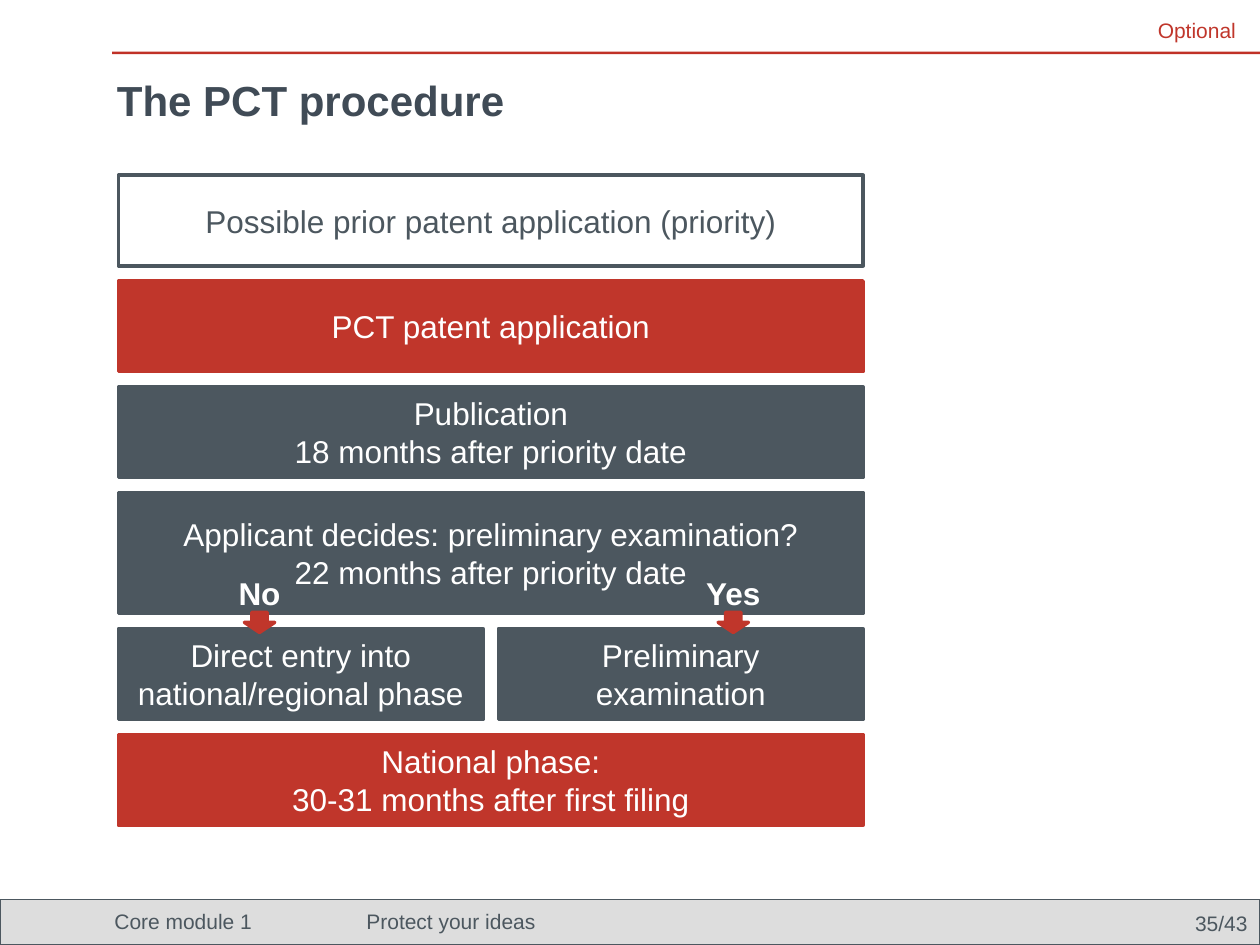
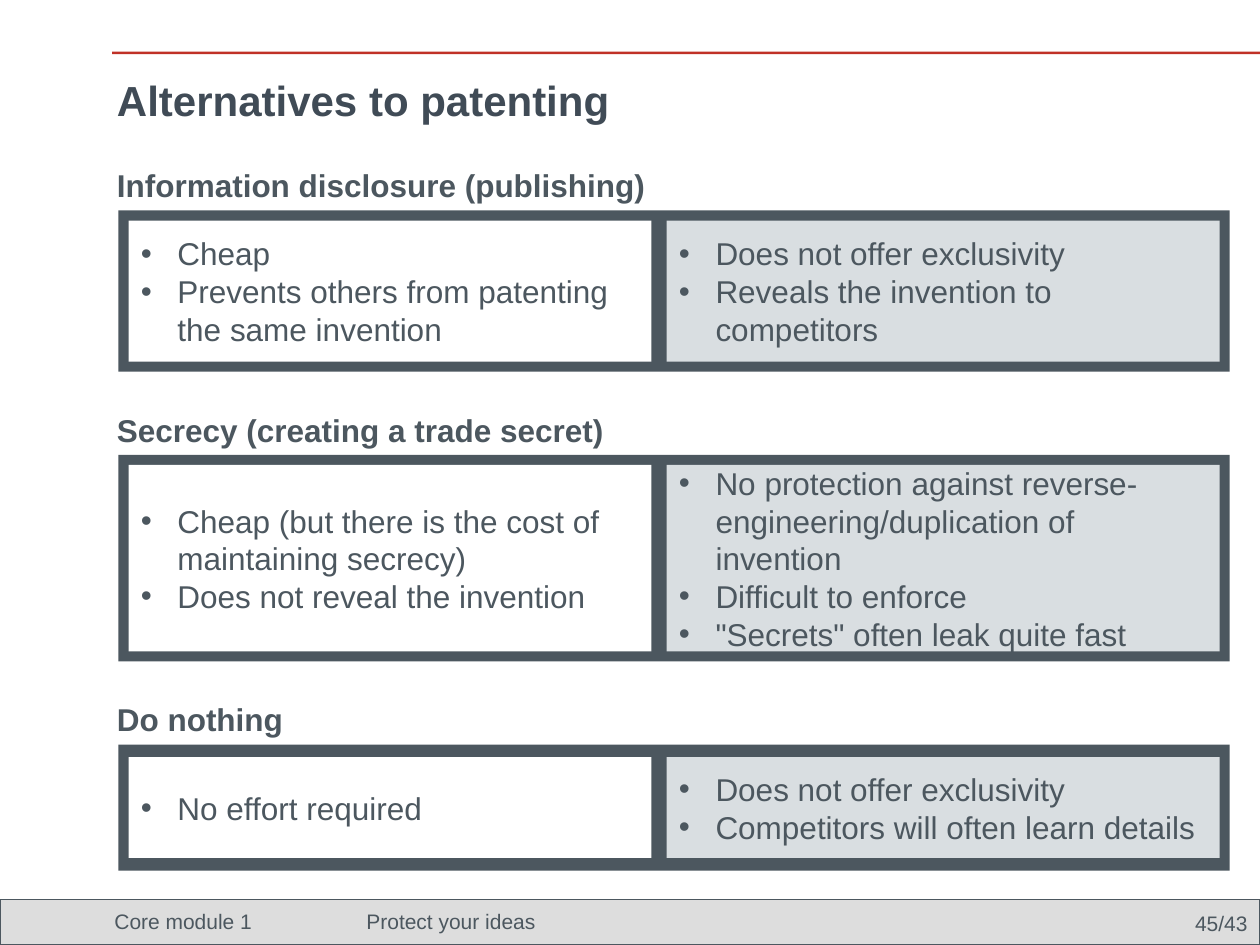
from dataclasses import dataclass

from lxml.etree import SubElement
from pptx import Presentation
from pptx.dml.color import RGBColor
from pptx.enum.shapes import MSO_SHAPE as Shape
from pptx.enum.text import MSO_ANCHOR as Anchor, PP_ALIGN as Align
from pptx.oxml.ns import qn
from pptx.util import Inches, Pt

FONT = "Arial"
SLATE = "4C575F"
TITLE_INK = "404B56"
RED = "C0362B"
RULE_RED = "C03127"
WHITE = "FFFFFF"
PALE = "D9DEE1"
FOOTER_GREY = "DDDDDD"

LEFT = 0.94
BULLET_INDENT = 0.29
TOTAL_PAGES = 43


@dataclass
class Box:
    left: float
    top: float
    width: float
    height: float

    @property
    def inches(self):
        return [Inches(n) for n in (self.left, self.top, self.width, self.height)]


def color(code):
    return RGBColor.from_string(code)


def add_panel(page, box, fill, line=None, line_width=2, kind=Shape.RECTANGLE):
    panel = page.shapes.add_shape(kind, *box.inches)
    panel.shadow.inherit = False
    panel.fill.solid()
    panel.fill.fore_color.rgb = color(fill)
    if line:
        panel.line.color.rgb = color(line)
        panel.line.width = Pt(line_width)
    else:
        panel.line.fill.background()
    return panel


def add_bullet(para):
    props = para._p.get_or_add_pPr()
    props.set("marL", str(Inches(BULLET_INDENT)))
    props.set("indent", str(-Inches(BULLET_INDENT)))
    SubElement(props, qn("a:buFont"), typeface=FONT)
    SubElement(props, qn("a:buChar"), char="•")


def add_tab(para, position):
    tabs = SubElement(para._p.get_or_add_pPr(), qn("a:tabLst"))
    SubElement(tabs, qn("a:tab"), pos=str(Inches(position)), algn="l")


def write(shape, text, size=18, ink=SLATE, bold=False, align=Align.LEFT,
          anchor=Anchor.MIDDLE, wrap=True, bullets=False, tab=None):
    """Fill a shape with text, one paragraph for each line."""
    frame = shape.text_frame
    frame.word_wrap = wrap
    frame.vertical_anchor = anchor
    for index, line in enumerate(text.split("\n")):
        para = frame.add_paragraph() if index else frame.paragraphs[0]
        if bullets:
            add_bullet(para)
        if tab:
            add_tab(para, tab)
        para.alignment = align
        span = para.add_run()
        span.text = line
        span.font.name = FONT
        span.font.size = Pt(size)
        span.font.bold = bold
        span.font.color.rgb = color(ink)


def add_text(page, box, text, **style):
    write(page.shapes.add_textbox(*box.inches), text, **style)


def add_page(deck, title, number):
    """Add a slide with the footer, the top rule and the title."""
    page = deck.slides.add_slide(deck.slide_layouts[6])
    add_panel(page, Box(0, 7.14, 10, 0.36), FOOTER_GREY, SLATE, 0.75)
    add_panel(page, Box(0.89, 0.41, 9.12, 0.02), RULE_RED)
    add_text(page, Box(0.81, 7.19, 8.43, 0.24),
             "Core module 1\tProtect your ideas", size=12, tab=2)
    add_text(page, Box(9.17, 7.25, 0.83, 0.16), f"{number}/{TOTAL_PAGES}",
             size=12, align=Align.RIGHT)
    add_text(page, Box(0.83, 0.44, 8.41, 0.7), title,
             size=24, ink=TITLE_INK, bold=True)
    return page


def add_step(page, box, text, fill=SLATE, line=None, ink=WHITE):
    step = add_panel(page, box, fill, line or fill)
    write(step, text, ink=ink, align=Align.CENTER)


def add_answer(page, decision, center, text, width):
    """Add an answer and its arrow at the lower edge of the decision box."""
    middle = decision.left + center
    bottom = decision.top + decision.height
    add_text(page, Box(middle - width / 2, bottom - 0.36, width, 0.4), text,
             ink=WHITE, bold=True, align=Align.CENTER, anchor=Anchor.TOP,
             wrap=False)
    add_panel(page, Box(middle - 0.12, bottom - 0.01, 0.24, 0.16), RED, RED,
              kind=Shape.DOWN_ARROW)


def add_flow(page, area, gap=0.12, step_height=0.72, decision_height=0.96):
    """Stack the steps of the procedure from the top of the area."""
    def row(top, height=step_height):
        return Box(area.left, top, area.width, height)

    pitch = step_height + gap
    prior, application, publication = [row(area.top + i * pitch) for i in range(3)]
    decision = row(area.top + 3 * pitch, decision_height)
    branch_top = decision.top + decision_height + gap
    half = (area.width - gap) / 2

    add_step(page, prior, "Possible prior patent application (priority)",
             WHITE, SLATE, SLATE)
    add_step(page, application, "PCT patent application", RED)
    add_step(page, publication, "Publication\n18 months after priority date")
    add_step(page, decision, "Applicant decides: preliminary examination?\n"
             "22 months after priority date")
    branches = ("Direct entry into\nnational/regional phase",
                "Preliminary\nexamination")
    for index, text in enumerate(branches):
        left = area.left + index * (half + gap)
        add_step(page, Box(left, branch_top, half, step_height), text)
    add_step(page, row(branch_top + pitch),
             "National phase:\n30-31 months after first filing", RED)
    add_answer(page, decision, 1.12, "No", 0.53)
    add_answer(page, decision, 4.88, "Yes", 0.64)


def add_comparison(page, box, heading, pros, cons, border):
    """Add a heading above a framed pair of advantages and drawbacks."""
    add_text(page, Box(box.left - 0.11, box.top - 0.4, 4.4, 0.4), heading,
             bold=True, anchor=Anchor.TOP, wrap=False)
    add_panel(page, box, SLATE)
    for offset, width, fill, text in ((0.08, 4.15, WHITE, pros),
                                      (4.35, 4.39, PALE, cons)):
        cell = Box(box.left + offset, box.top + border,
                   width, box.height - 2 * border)
        write(add_panel(page, cell, fill), text, bullets=True)


def build_procedure(deck):
    page = add_page(deck, "The PCT procedure", 35)
    add_flow(page, Box(LEFT, 1.39, 5.91, 5.15))
    add_text(page, Box(9.09, 0.09, 0.91, 0.3), "Optional",
             size=12, ink=RED, anchor=Anchor.TOP)


def build_alternatives(deck):
    page = add_page(deck, "Alternatives to patenting", 45)
    alternatives = (
        ("Information disclosure (publishing)",
         "Cheap\nPrevents others from patenting the same invention",
         "Does not offer exclusivity\nReveals the invention to competitors",
         1.28, 0.08),
        ("Secrecy (creating a trade secret)",
         "Cheap (but there is the cost of maintaining secrecy)\n"
         "Does not reveal the invention",
         "No protection against reverse-engineering/duplication of invention\n"
         "Difficult to enforce\n\"Secrets\" often leak quite fast",
         1.64, 0.08),
        ("Do nothing",
         "No effort required",
         "Does not offer exclusivity\nCompetitors will often learn details",
         1, 0.1),
    )
    top, gap = 1.67, 0.66
    for heading, pros, cons, height, border in alternatives:
        add_comparison(page, Box(LEFT, top, 8.82, height),
                       heading, pros, cons, border)
        top += height + gap


def main():
    deck = Presentation()
    deck.slide_width, deck.slide_height = Inches(10), Inches(7.5)
    build_procedure(deck)
    build_alternatives(deck)
    deck.save("out.pptx")


if __name__ == "__main__":
    main()
